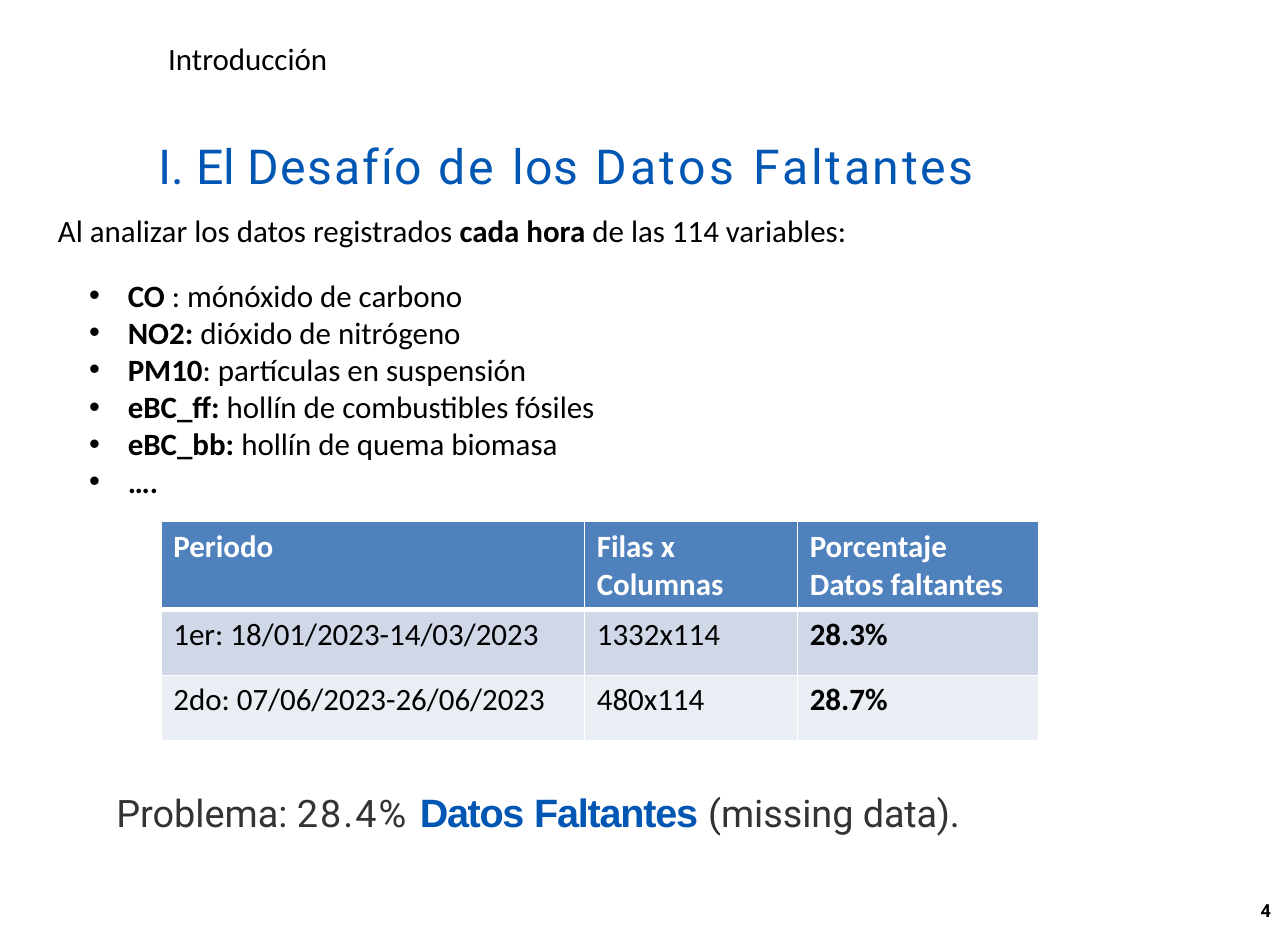
from lxml import etree
from pptx import Presentation
from pptx.dml.color import RGBColor
from pptx.enum import text as t
from pptx.oxml import ns
from pptx.util import Pt

BLACK = RGBColor(0, 0, 0)
WHITE = RGBColor(255, 255, 255)
BLUE = RGBColor(0x00, 0x56, 0xB3)
GREY = RGBColor(0x33, 0x33, 0x33)
HEADER_FILL = RGBColor(0x4F, 0x81, 0xBD)
ROW_FILLS = [HEADER_FILL, RGBColor(0xD0, 0xD8, 0xE8), RGBColor(0xE9, 0xED, 0xF4)]

deck = Presentation()
deck.slide_width, deck.slide_height = Pt(748.8), Pt(545.76)
page = deck.slides.add_slide(deck.slide_layouts[1])


def place(box, left, top, width, height, margins=(7.2, 3.6, 7.2, 3.6), wrap=True):
    """Position a text shape and return its first paragraph."""
    box.left, box.top, box.width, box.height = Pt(left), Pt(top), Pt(width), Pt(height)
    frame = box.text_frame
    frame.word_wrap = wrap
    frame.auto_size = t.MSO_AUTO_SIZE.NONE
    frame.vertical_anchor = t.MSO_ANCHOR.TOP
    frame.margin_left, frame.margin_top, frame.margin_right, frame.margin_bottom = map(Pt, margins)
    return frame.paragraphs[0]


def write(para, spans, font, size, color):
    """Add (text, bold, letter spacing in points) spans to a paragraph."""
    para.font.name, para.font.size, para.font.color.rgb = font, Pt(size), color
    for words, bold, spacing in spans:
        span = para.add_run()
        span.text = words
        span.font.name, span.font.size, span.font.color.rgb = font, Pt(size), color
        span.font.bold = bold
        if spacing:
            span.font._element.set("spc", str(round(spacing * 100)))


# Title
para = place(page.shapes.title, 90.7, 56.9, 611.3, 52.6, (1.4, 7.2, 0, 0))
para.alignment = t.PP_ALIGN.LEFT
para.line_spacing = Pt(48.8)
write(para, [("I. El ", False, 0), ("Desafío ", False, 1.1), ("de ", False, 1.9),
             ("los", False, 0.6), (" Datos ", False, 2.1), ("Faltantes", False, 1.6)],
      "Roboto", 28, BLUE)

# Section name and lead-in
para = place(page.shapes.add_textbox(0, 0, 0, 0), 90.7, 19.4, 113.8, 28.8, wrap=False)
write(para, [("Introducción", False, 0)], "Calibri", 18, BLACK)
para = place(page.shapes.add_textbox(0, 0, 0, 0), 26.6, 119.5, 534.2, 28.8, wrap=False)
write(para, [("Al analizar los datos registrados ", False, 0), ("cada hora ", True, 0),
             ("de las 114 variables:", False, 0)], "Calibri", 18, BLACK)

# Variable list
variables = [("CO ", ": mónóxido de carbono"), ("NO2: ", "dióxido de nitrógeno"),
             ("PM10", ": partículas en suspensión"),
             ("eBC_ff: ", "hollín de combustibles fósiles"),
             ("eBC_bb: ", "hollín de quema biomasa"), ("….", "")]
body = page.placeholders[1]
para = place(body, 44.6, 157, 679.7, 138.2)
for index, (name, meaning) in enumerate(variables):
    if index:
        para = body.text_frame.add_paragraph()
    props = para._p.get_or_add_pPr()
    props.set("marL", str(Pt(22.5)))
    props.set("indent", str(Pt(-22.5)))
    etree.SubElement(props, ns.qn("a:buFont"), typeface="Arial")
    etree.SubElement(props, ns.qn("a:buChar"), char="•")
    para.space_before = Pt(0)
    spans = [(name, True, 0), (meaning, False, 0)]
    write(para, [span for span in spans if span[0]], "Calibri", 18, BLACK)

# Table of missing data
rows = [("Periodo", "Filas x Columnas", "Porcentaje Datos faltantes"),
        ("1er: 18/01/2023-14/03/2023", "1332x114", "28.3%"),
        ("2do: 07/06/2023-26/06/2023", "480x114", "28.7%")]
table = page.shapes.add_table(3, 3, Pt(93.6), Pt(303.1), Pt(510.5), Pt(126)).table
for column, width in zip(table.columns, (246.2, 123.8, 140.4)):
    column.width = Pt(width)
for r, (values, fill, height) in enumerate(zip(rows, ROW_FILLS, (49.6, 38.2, 38.2))):
    table.rows[r].height = Pt(height)
    for c, value in enumerate(values):
        cell = table.cell(r, c)
        props = cell._tc.get_or_add_tcPr()
        for side in "LRTB":
            thick = (r, side) in ((0, "B"), (1, "T"))
            line = etree.SubElement(props, ns.qn("a:ln" + side), w=str(Pt(3 if thick else 1)))
            solid = etree.SubElement(line, ns.qn("a:solidFill"))
            etree.SubElement(solid, ns.qn("a:srgbClr"), val=str(WHITE))
        cell.fill.solid()
        cell.fill.fore_color.rgb = fill
        write(cell.text_frame.paragraphs[0], [(value, r == 0 or c == 2, 0)],
              "Calibri", 18, BLACK if r else WHITE)

# Problem statement
para = place(page.shapes.add_textbox(0, 0, 0, 0), 67, 451.4, 637.9, 34.6, (0.7, 6.5, 0, 0))
write(para, [("Problema: ", False, 0), ("28.4% ", False, 1.2)], "Roboto", 22, GREY)
write(para, [("Datos ", True, -0.8), ("Faltantes ", True, -0.7)], "Arial", 23, BLUE)
write(para, [("(missing ", False, 0), ("data).", False, -0.1)], "Roboto", 22, GREY)

# Page number
para = place(page.shapes.add_textbox(0, 0, 0, 0), 724.3, 524.2, 18.7, 10.8, (8.6, 0, 0, 0))
para.line_spacing = Pt(11.2)
write(para, [("4", True, -0.5)], "Roboto", 10.5, BLACK)

deck.save("out.pptx")
